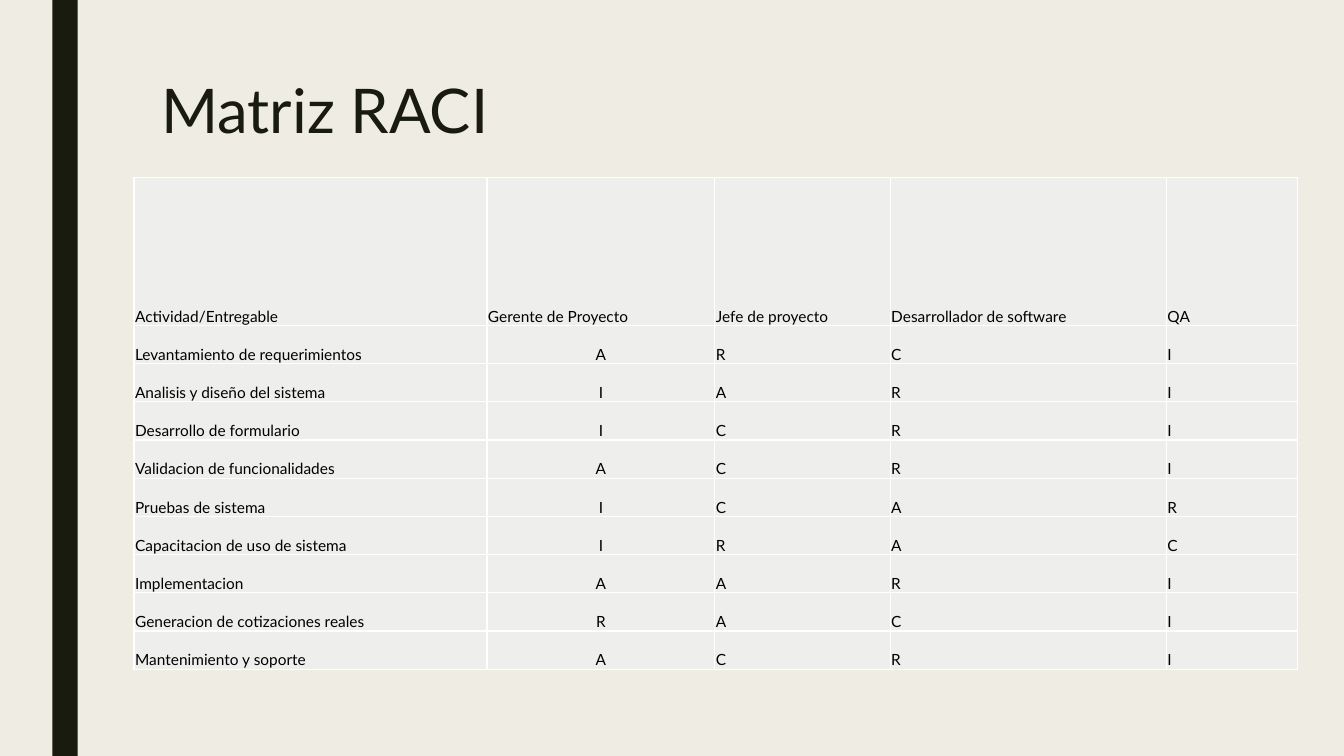
from pptx import Presentation
from pptx.dml.color import RGBColor
from pptx.enum.shapes import MSO_SHAPE
from pptx.enum.text import MSO_ANCHOR, MSO_AUTO_SIZE, PP_ALIGN
from pptx.oxml import parse_xml
from pptx.oxml.ns import nsdecls
from pptx.util import Inches, Pt

# Content
TITLE = "Matriz RACI"
HEADER = ("Actividad/Entregable", "Gerente de Proyecto", "Jefe de proyecto",
          "Desarrollador de software", "QA")
ACTIVITIES = [
    ("Levantamiento de requerimientos", "ARCI"),
    ("Analisis y diseño del sistema", "IARI"),
    ("Desarrollo de formulario", "ICRI"),
    ("Validacion de funcionalidades", "ACRI"),
    ("Pruebas de sistema", "ICAR"),
    ("Capacitacion de uso de sistema", "IRAC"),
    ("Implementacion", "AARI"),
    ("Generacion de cotizaciones reales", "RACI"),
    ("Mantenimiento y soporte", "ACRI"),
]
ROWS = [HEADER] + [(activity, *roles) for activity, roles in ACTIVITIES]

# Style and layout, in inches
COLORS = {"background": "EFEDE3", "dark": "191B0E", "cell": "EEEEED",
          "border": "FFFFFF", "text": "000000"}
FONT = "Lato"
SLIDE_WIDTH, SLIDE_HEIGHT = 13.33, 7.5
BAND_LEFT, BAND_WIDTH = 0.52, 0.25
TITLE_BOX = (1.5, 0.75, 10.5, 1.62)
TABLE_LEFT, TABLE_TOP, TABLE_HEIGHT = 1.33, 1.76, 4.88
COLUMN_WIDTHS = (3.5, 2.26, 1.74, 2.74, 1.3)
HEADER_HEIGHT = 1.47
ROW_HEIGHT = (TABLE_HEIGHT - HEADER_HEIGHT) / len(ACTIVITIES)
CENTERED_COLUMN = 1


def color(name):
    return RGBColor.from_string(COLORS[name])


def format_runs(paragraph, size, color_name):
    for run in paragraph.runs:
        run.font.name = FONT
        run.font.size = Pt(size)
        run.font.bold = False
        run.font.color.rgb = color(color_name)


def add_borders(cell):
    properties = cell._tc.get_or_add_tcPr()
    for position, side in enumerate(("lnL", "lnR", "lnT", "lnB")):
        properties.insert(position, parse_xml(
            f'<a:{side} {nsdecls("a")} w="{Pt(1)}"><a:solidFill>'
            f'<a:srgbClr val="{COLORS["border"]}"/></a:solidFill></a:{side}>'))


def format_cell(cell, text, centered):
    cell.text_frame.text = text
    cell.vertical_anchor = MSO_ANCHOR.BOTTOM
    cell.margin_left = cell.margin_right = cell.margin_top = Inches(0.01)
    cell.margin_bottom = 0
    cell.fill.solid()
    cell.fill.fore_color.rgb = color("cell")
    paragraph = cell.text_frame.paragraphs[0]
    paragraph.alignment = PP_ALIGN.CENTER if centered else PP_ALIGN.LEFT
    format_runs(paragraph, 11, "text")
    add_borders(cell)


def add_side_band(slide):
    band = slide.shapes.add_shape(
        MSO_SHAPE.RECTANGLE, Inches(BAND_LEFT), 0,
        Inches(BAND_WIDTH), Inches(SLIDE_HEIGHT))
    band.shadow.inherit = False
    band.fill.solid()
    band.fill.fore_color.rgb = color("dark")
    band.line.fill.background()


def format_title(title):
    title.left, title.top, title.width, title.height = map(Inches, TITLE_BOX)
    title.text_frame.text = TITLE
    title.text_frame.auto_size = MSO_AUTO_SIZE.NONE
    title.text_frame.vertical_anchor = MSO_ANCHOR.TOP
    paragraph = title.text_frame.paragraphs[0]
    paragraph.alignment = PP_ALIGN.LEFT
    paragraph.line_spacing = 0.89
    format_runs(paragraph, 44, "dark")


def add_raci_table(slide):
    table = slide.shapes.add_table(
        len(ROWS), len(HEADER), Inches(TABLE_LEFT), Inches(TABLE_TOP),
        Inches(sum(COLUMN_WIDTHS)), Inches(TABLE_HEIGHT)).table
    table.first_row = table.horz_banding = False
    for column, width in zip(table.columns, COLUMN_WIDTHS):
        column.width = Inches(width)
    for row_index, values in enumerate(ROWS):
        is_header = row_index == 0
        table.rows[row_index].height = Inches(HEADER_HEIGHT if is_header else ROW_HEIGHT)
        for column_index, text in enumerate(values):
            centered = column_index == CENTERED_COLUMN and not is_header
            format_cell(table.cell(row_index, column_index), text, centered)


def main():
    presentation = Presentation()
    presentation.slide_width = Inches(SLIDE_WIDTH)
    presentation.slide_height = Inches(SLIDE_HEIGHT)
    slide = presentation.slides.add_slide(presentation.slide_layouts[5])
    slide.background.fill.solid()
    slide.background.fill.fore_color.rgb = color("background")
    add_side_band(slide)
    format_title(slide.shapes.title)
    add_raci_table(slide)
    presentation.save("out.pptx")


if __name__ == "__main__":
    main()
